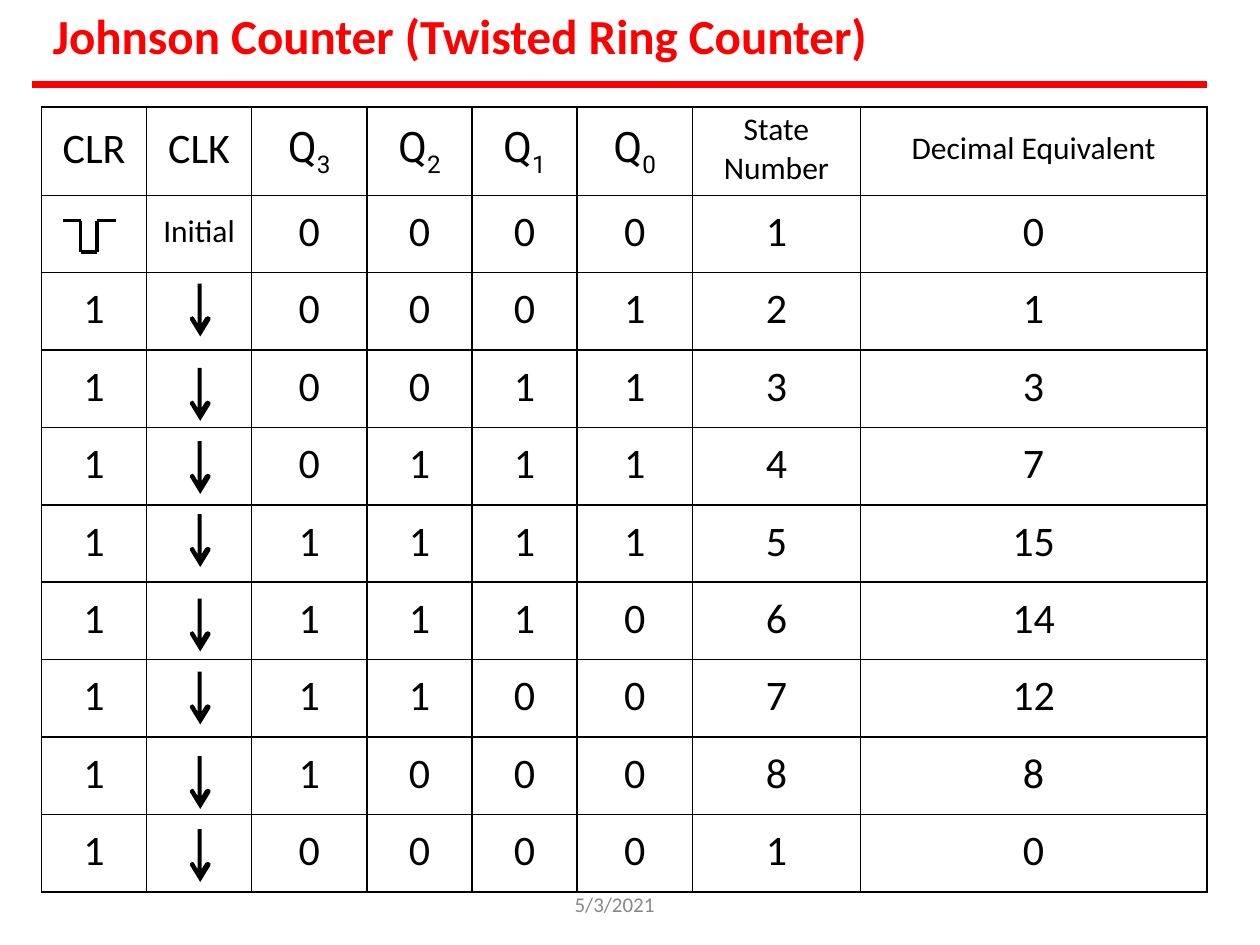
from dataclasses import dataclass
from itertools import pairwise

from lxml.etree import SubElement
from pptx import Presentation
from pptx.dml.color import RGBColor
from pptx.enum.shapes import MSO_CONNECTOR as Connector
from pptx.enum.text import MSO_ANCHOR as Anchor, MSO_AUTO_SIZE as AutoSize, PP_ALIGN as Align
from pptx.oxml.ns import qn
from pptx.util import Inches, Pt


@dataclass(frozen=True)
class Theme:
    """Colours, fonts and type sizes of the slide."""
    red: RGBColor = RGBColor(0xFF, 0x00, 0x00)
    black: RGBColor = RGBColor(0x00, 0x00, 0x00)
    grey: RGBColor = RGBColor(0x88, 0x88, 0x88)
    font: str = "Calibri"
    symbol_font: str = "Roboto"
    title: int = 28
    value: int = 24
    label: int = 18
    date: int = 12


@dataclass(frozen=True)
class CellText:
    """Text of one table cell, its size, top margin, font and subscript."""
    text: str
    size: int
    top: float
    font: str = "Calibri"
    subscript: str = ""


@dataclass(frozen=True)
class Line:
    """A straight line between two points in inches."""
    start: tuple[float, float]
    end: tuple[float, float]
    color: RGBColor
    width: float


THEME = Theme()
BITS = 4
TABLE_LEFT, TABLE_TOP, TABLE_BOTTOM = 0.33, 0.85, 7.08
HEADER_HEIGHT = 0.7
COLUMN_TWELFTHS = (10, 10, 11, 10, 10, 11, 16, 33)
PULSE = ((0.5, 1.75), (0.64, 1.75), (0.64, 2), (0.77, 2), (0.77, 1.75), (0.92, 1.75))
ARROW_LEFT = 1.51
ARROW_TOPS = (2.25, 2.92, 3.5, 4.08, 4.75, 5.33, 6, 6.58)
ARROW_OUTLINE = (
    (0.06, 0), (0.09, 0), (0.09, 0.32), (0.12, 0.27), (0.14, 0.26), (0.16, 0.27), (0.16, 0.29),
    (0.08, 0.42), (0, 0.29), (0, 0.27), (0.02, 0.26), (0.03, 0.27), (0.06, 0.32),
)


def style_run(run, size: int, color: RGBColor, font: str = THEME.font, bold: bool = False) -> None:
    """Set the font of a run."""
    run.font.size, run.font.name, run.font.bold = Pt(size), font, bold
    run.font.color.rgb = color


def clear_margins(text_frame, top: float = 0) -> None:
    """Remove the margins of a text frame except the top one."""
    text_frame.margin_left = text_frame.margin_right = text_frame.margin_bottom = 0
    text_frame.margin_top = Inches(top)


def place(shape, left: float, top: float, width: float, height: float) -> None:
    """Position a shape by lengths in inches."""
    shape.left, shape.top = Inches(left), Inches(top)
    shape.width, shape.height = Inches(width), Inches(height)


def header_row() -> list[CellText]:
    """Return the column headings."""
    signals = [CellText(name, THEME.value, 0.13) for name in ("CLR", "CLK")]
    outputs = [CellText("Q", THEME.value, 0.13, THEME.symbol_font, str(bit))
               for bit in reversed(range(BITS))]
    return [*signals, *outputs, CellText("State Number", THEME.label, 0.03),
            CellText("Decimal Equivalent", THEME.label, 0.18)]


def counter_rows() -> list[list[CellText]]:
    """Run the counter once round, feeding the inverted last bit back in."""
    rows, value = [], 0
    for step in range(2 * BITS + 1):
        clear = CellText("1" if step else "", THEME.value, 0.09)
        clock = CellText("" if step else "Initial", THEME.label, 0.14)
        numbers = (*f"{value:0{BITS}b}", step % (2 * BITS) + 1, value)
        rows.append([clear, clock, *(CellText(str(n), THEME.value, 0.09) for n in numbers)])
        value = (value << 1) % 2**BITS | (1 - (value >> (BITS - 1)))
    return rows


def add_borders(cell) -> None:
    """Draw a thin black line on every side of a cell."""
    properties = cell._tc.get_or_add_tcPr()
    for position, side in enumerate(("a:lnL", "a:lnR", "a:lnT", "a:lnB")):
        border = SubElement(properties, qn(side), w=str(Pt(1)))
        fill = SubElement(border, qn("a:solidFill"))
        SubElement(fill, qn("a:srgbClr"), val=str(THEME.black))
        properties.insert(position, border)


def fill_cell(cell, content: CellText) -> None:
    """Write and format one table cell."""
    cell.fill.background()
    add_borders(cell)
    clear_margins(cell, content.top)
    if not content.text:
        return
    paragraph = cell.text_frame.paragraphs[0]
    paragraph.text = content.text
    paragraph.alignment = Align.CENTER
    if content.subscript:
        subscript = paragraph.add_run()
        subscript.text = content.subscript
        subscript._r.get_or_add_rPr().set("baseline", "-25000")
    for run in paragraph.runs:
        style_run(run, content.size, THEME.black, content.font)


def add_state_table(slide) -> None:
    """Add the table of counter states."""
    rows = [header_row(), *counter_rows()]
    row_height = (TABLE_BOTTOM - TABLE_TOP - HEADER_HEIGHT) / (len(rows) - 1)
    table = slide.shapes.add_table(
        len(rows), len(COLUMN_TWELFTHS), Inches(TABLE_LEFT), Inches(TABLE_TOP),
        Inches(sum(COLUMN_TWELFTHS) / 12), Inches(TABLE_BOTTOM - TABLE_TOP)).table
    table.first_row = table.horz_banding = False
    for column, twelfths in zip(table.columns, COLUMN_TWELFTHS):
        column.width = Inches(twelfths / 12)
    for index, (row, contents) in enumerate(zip(table.rows, rows)):
        row.height = Inches(row_height if index else HEADER_HEIGHT)
        for cell, content in zip(row.cells, contents):
            fill_cell(cell, content)


def add_line(slide, line: Line) -> None:
    """Add a straight line without a shadow."""
    points = (Inches(length) for length in (*line.start, *line.end))
    connector = slide.shapes.add_connector(Connector.STRAIGHT, *points)
    connector.line.color.rgb = line.color
    connector.line.width = Pt(line.width)
    SubElement(connector._element.spPr, qn("a:effectLst"))


def add_clock_arrow(slide, top: float) -> None:
    """Add a falling-edge arrow in the clock column."""
    start, *others = [(Inches(ARROW_LEFT + x), Inches(top + y)) for x, y in ARROW_OUTLINE]
    builder = slide.shapes.build_freeform(*start)
    builder.add_line_segments(others, close=True)
    arrow = builder.convert_to_shape()
    arrow.shadow.inherit = False
    arrow.fill.solid()
    arrow.fill.fore_color.rgb = THEME.black
    arrow.line.fill.background()


def add_title(slide) -> None:
    """Fill and place the title placeholder."""
    title = slide.shapes.title
    place(title, 0.42, 0.03, 6.51, 0.5)
    text_frame = title.text_frame
    text_frame.text = "Johnson Counter (Twisted Ring Counter)"
    text_frame.auto_size, text_frame.vertical_anchor = AutoSize.NONE, Anchor.TOP
    clear_margins(text_frame, 0.01)
    paragraph = text_frame.paragraphs[0]
    paragraph.alignment = Align.LEFT
    style_run(paragraph.runs[0], THEME.title, THEME.red, bold=True)


def add_date(slide) -> None:
    """Add the date below the table."""
    text_frame = slide.shapes.add_textbox(
        Inches(4.56), Inches(7.07), Inches(0.88), Inches(0.19)).text_frame
    text_frame.word_wrap = True
    text_frame.text = "5/3/2021"
    clear_margins(text_frame)
    paragraph = text_frame.paragraphs[0]
    paragraph.line_spacing = 1.03
    style_run(paragraph.runs[0], THEME.date, THEME.grey)


def main() -> None:
    """Build and save the slide."""
    presentation = Presentation()
    presentation.slide_width, presentation.slide_height = Inches(10), Inches(7.5)
    slide = presentation.slides.add_slide(presentation.slide_layouts[5])
    add_title(slide)
    add_state_table(slide)
    add_line(slide, Line((0.25, 0.67), (9.58, 0.67), THEME.red, 4))
    for start, end in pairwise(PULSE):
        add_line(slide, Line(start, end, THEME.black, 2))
    for top in ARROW_TOPS:
        add_clock_arrow(slide, top)
    add_date(slide)
    presentation.save("out.pptx")


if __name__ == "__main__":
    main()
